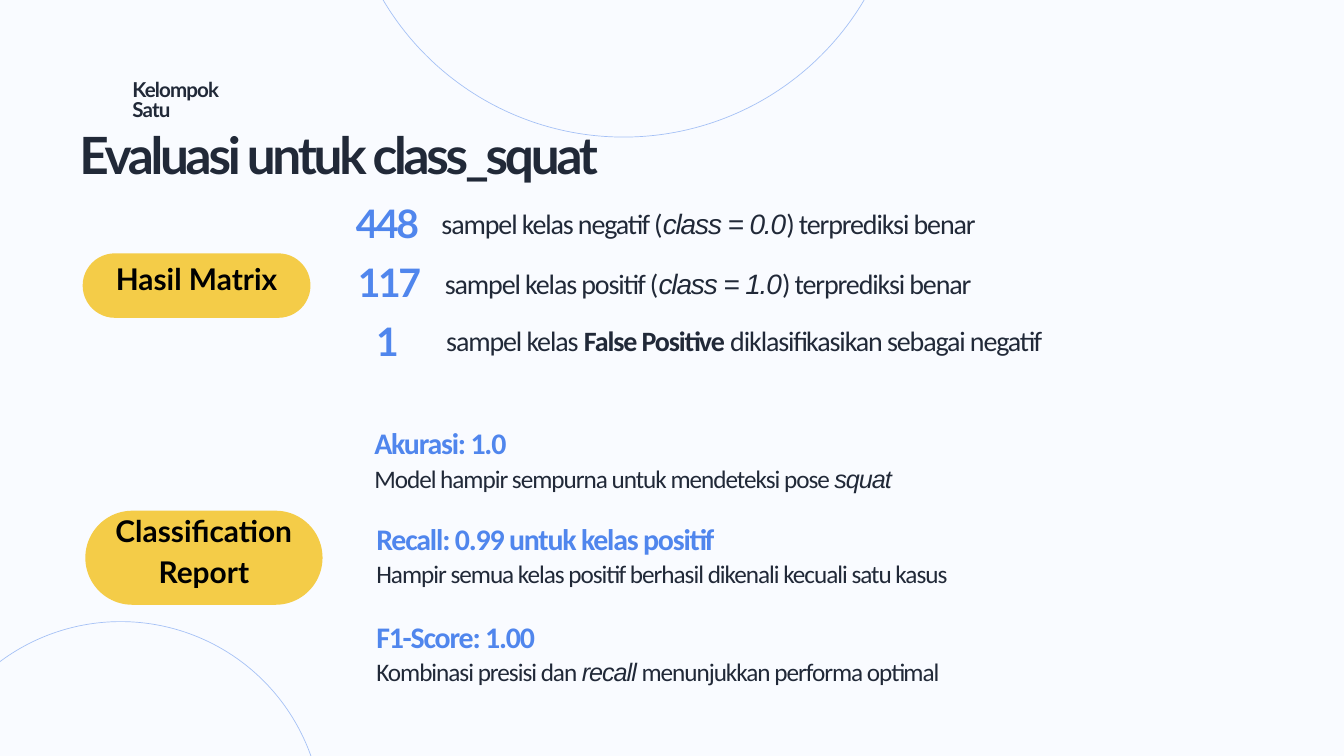
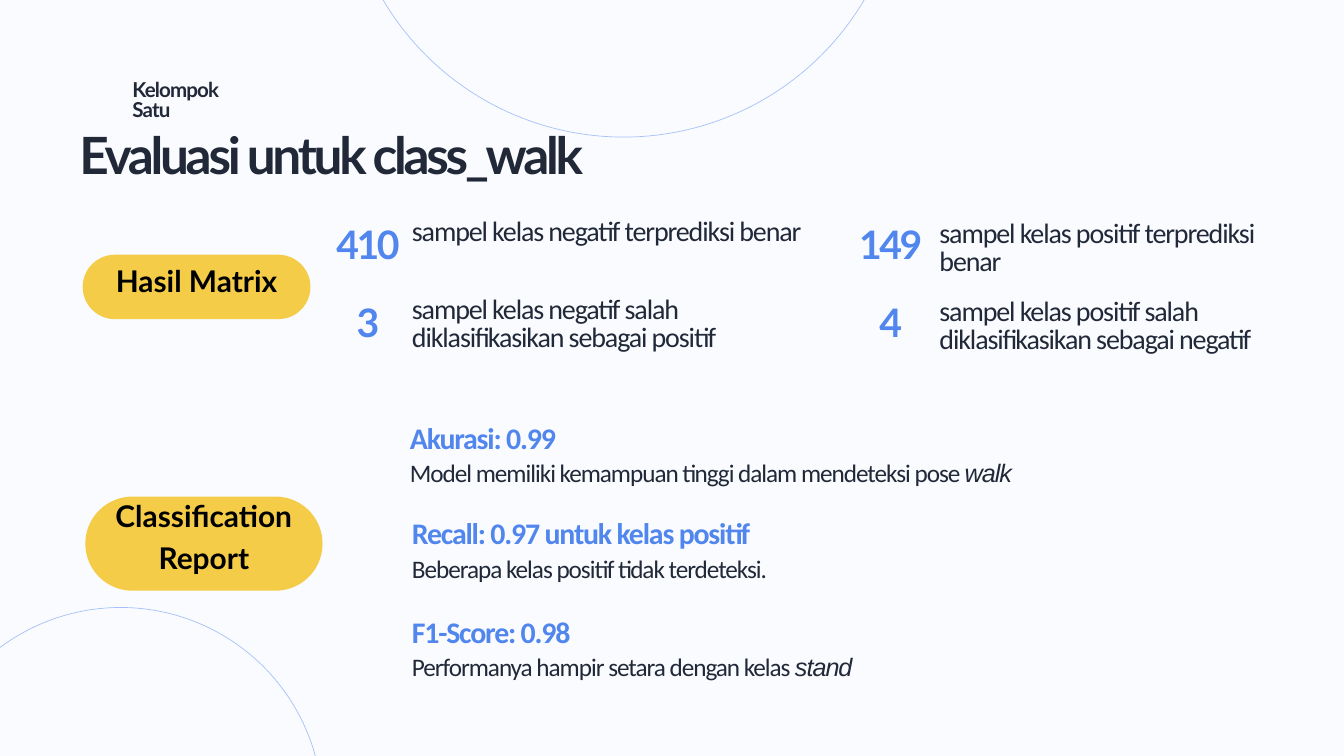
from dataclasses import dataclass, replace

from lxml import etree
from pptx import Presentation
from pptx.dml.color import RGBColor
from pptx.enum.shapes import MSO_SHAPE as Preset
from pptx.enum.text import MSO_ANCHOR as Anchor, PP_ALIGN as Align
from pptx.oxml.ns import qn
from pptx.util import Inches, Pt

PAPER, INK, BLUE, YELLOW, BLACK = "F9FBFF", "212938", "5086ED", "F4CC48", "000000"


@dataclass(frozen=True)
class Style:
    """Look of a run and the line pitch of its paragraph, in points."""
    size: float
    font: str
    color: str
    pitch: float
    spacing: float = 0
    bold: bool = False
    italic: bool = False


TITLE = Style(55, "Lato", INK, 51.7, -3.5, bold=True)
TEAM = Style(22, "Lato", INK, 22.2, -0.9, bold=True)
COUNT = Style(42, "Lato", BLUE, 39.5, -2.7, bold=True)
SAMPLE = Style(30, "Calibri", INK, 30.3, -1.2)
LABEL = Style(32, "Lato", BLACK, 44.8, bold=True)
METRIC = Style(32, "Calibri", BLUE, 32.3, -1.3, bold=True)
REMARK = Style(27, "Calibri", INK, 27.2, -1.1)


def rgb(color):
    """Turn a hex string into a colour."""
    return RGBColor.from_string(color)


def italic(text):
    """Mark a run as a foreign or code term."""
    return text, {"font": "Arial", "italic": True}


def bold(text):
    """Mark a run as bold."""
    return text, {"bold": True}


def add_run(paragraph, text, style):
    """Add one run in the given style."""
    run = paragraph.add_run()
    run.text = text
    font = run.font
    font.size, font.name = Pt(style.size), style.font
    font.bold, font.italic = style.bold, style.italic
    font.color.rgb = rgb(style.color)
    if style.spacing:
        run._r.get_or_add_rPr().set("spc", str(round(style.spacing * 100)))


def add_text(slide, box, paragraphs, style, align=Align.LEFT, anchor=Anchor.TOP, inset=0):
    """Write paragraphs, each a list of plain or marked runs, into a box."""
    frame = slide.shapes.add_textbox(*map(Inches, box)).text_frame
    frame.word_wrap = True
    frame.vertical_anchor = anchor
    frame.margin_left = frame.margin_right = Inches(inset)
    frame.margin_top = frame.margin_bottom = Inches(inset)
    for index, runs in enumerate(paragraphs):
        paragraph = frame.add_paragraph() if index else frame.paragraphs[0]
        paragraph.alignment = align
        paragraph.line_spacing = Pt(style.pitch)
        for run in runs:
            text, changes = (run, {}) if isinstance(run, str) else run
            add_run(paragraph, text, replace(style, **changes))


def add_ring(slide, left, top, diameter):
    """Draw a thin, half transparent circle outline."""
    ring = slide.shapes.add_shape(Preset.OVAL, *map(Inches, (left, top, diameter, diameter)))
    ring.shadow.inherit = False
    ring.fill.background()
    ring.line.color.rgb = rgb(BLUE)
    ring.line.width = Pt(0.75)
    color = ring.line._ln.find(".//" + qn("a:srgbClr"))
    etree.SubElement(color, qn("a:alpha")).set("val", "50000")


def add_pill(slide, left, top, width, height, label):
    """Draw a yellow pill with its label set slightly above the middle."""
    pill = slide.shapes.add_shape(
        Preset.ROUNDED_RECTANGLE, *map(Inches, (left, top, width, height)))
    pill.adjustments[0] = 0.5
    pill.shadow.inherit = False
    pill.fill.solid()
    pill.fill.fore_color.rgb = rgb(YELLOW)
    pill.line.fill.background()
    rise = 0.29
    add_text(slide, (left, top - rise, width, height + rise), [[label]], LABEL,
             Align.CENTER, Anchor.MIDDLE, 0.07)


def add_count(slide, left, top, count, text_shift, text_width, runs):
    """Place a large count and, shifted from it, what it counts."""
    across, down = text_shift
    add_text(slide, (left, top, 1.73, 0.58), [[count]], COUNT, Align.CENTER)
    add_text(slide, (left + across, top + down, text_width, 0.86), [runs], SAMPLE)


def add_report(slide, left, top, metrics):
    """List the metrics, each a heading with a remark under it."""
    places = ((0, 0), (0.03, 1.42), (0.03, 2.88))
    for (across, down), (heading, remark) in zip(places, metrics):
        x, y = left + across, top + down
        add_text(slide, (x, y, 7.3, 0.47), [[heading]], METRIC)
        add_text(slide, (x, y + 0.55, 13, 0.39), [remark], REMARK)


def add_evaluation(presentation, title, matrix_top, report_top):
    """Add a slide with the rings, team name, title and section pills."""
    slide = presentation.slides.add_slide(presentation.slide_layouts[6])
    slide.background.fill.solid()
    slide.background.fill.fore_color.rgb = rgb(PAPER)
    add_ring(slide, 5.12, -6.28, 8.32)
    add_ring(slide, -1.21, report_top + 1.65, 6.01)
    add_text(slide, (1.97, 1.2, 1.78, 0.63), [["Kelompok"], ["Satu"]], TEAM)
    add_text(slide, (1.18, 2.03, 12.31, 0.75), [[title]], TITLE)
    add_pill(slide, 1.23, matrix_top, 3.39, 0.96, "Hasil Matrix")
    add_pill(slide, 1.27, report_top, 3.53, 1.4, "Classification Report")
    return slide


def add_squat_slide(presentation):
    """Build the evaluation of the squat class."""
    slide = add_evaluation(presentation, "Evaluasi untuk class_squat", 3.77, 7.6)
    counts = (
        (4.9, "448", (1.67, 0.03),
         ["sampel kelas negatif (", italic("class = 0.0"), ") terprediksi benar"]),
        (4.93, "117", (1.69, 0.04),
         ["sampel kelas positif (", italic("class = 1.0"), ") terprediksi benar"]),
        (4.9, "1", (1.74, 0.02),
         ["sampel kelas ", bold("False Positive"), " diklasifikasikan sebagai negatif"]),
    )
    for row, (left, count, shift, runs) in enumerate(counts):
        add_count(slide, left, 3.12 + 0.88 * row, count, shift, 10.86, runs)
    add_report(slide, 5.57, 6.41, (
        ("Akurasi: 1.0",
         ["Model hampir sempurna untuk mendeteksi pose ", italic("squat")]),
        ("Recall: 0.99 untuk kelas positif",
         ["Hampir semua kelas positif berhasil dikenali kecuali satu kasus"]),
        ("F1-Score: 1.00",
         ["Kombinasi presisi dan ", italic("recall"), " menunjukkan performa optimal"]),
    ))


def add_walk_slide(presentation):
    """Build the evaluation of the walk class."""
    slide = add_evaluation(presentation, "Evaluasi untuk class_walk", 3.79, 7.39)
    columns = (
        (4.61, (1.52, -0.17), 6,
         (("410", "sampel kelas negatif terprediksi benar"),
          ("3", "sampel kelas negatif salah diklasifikasikan sebagai positif"))),
        (12.39, (1.59, -0.15), 5.04,
         (("149", "sampel kelas positif terprediksi benar"),
          ("4", "sampel kelas positif salah diklasifikasikan sebagai negatif"))),
    )
    for left, shift, width, counts in columns:
        for row, (count, text) in enumerate(counts):
            add_count(slide, left, 3.43 + 1.16 * row, count, shift, width, [text])
    add_report(slide, 6.1, 6.33, (
        ("Akurasi: 0.99",
         ["Model memiliki kemampuan tinggi dalam mendeteksi pose ", italic("walk")]),
        ("Recall: 0.97 untuk kelas positif",
         ["Beberapa kelas positif tidak terdeteksi."]),
        ("F1-Score: 0.98",
         ["Performanya hampir setara dengan kelas ", italic("stand")]),
    ))


def main():
    """Build and save the presentation."""
    presentation = Presentation()
    presentation.slide_width, presentation.slide_height = Inches(20), Inches(11.25)
    add_squat_slide(presentation)
    add_walk_slide(presentation)
    presentation.save("out.pptx")


if __name__ == "__main__":
    main()
